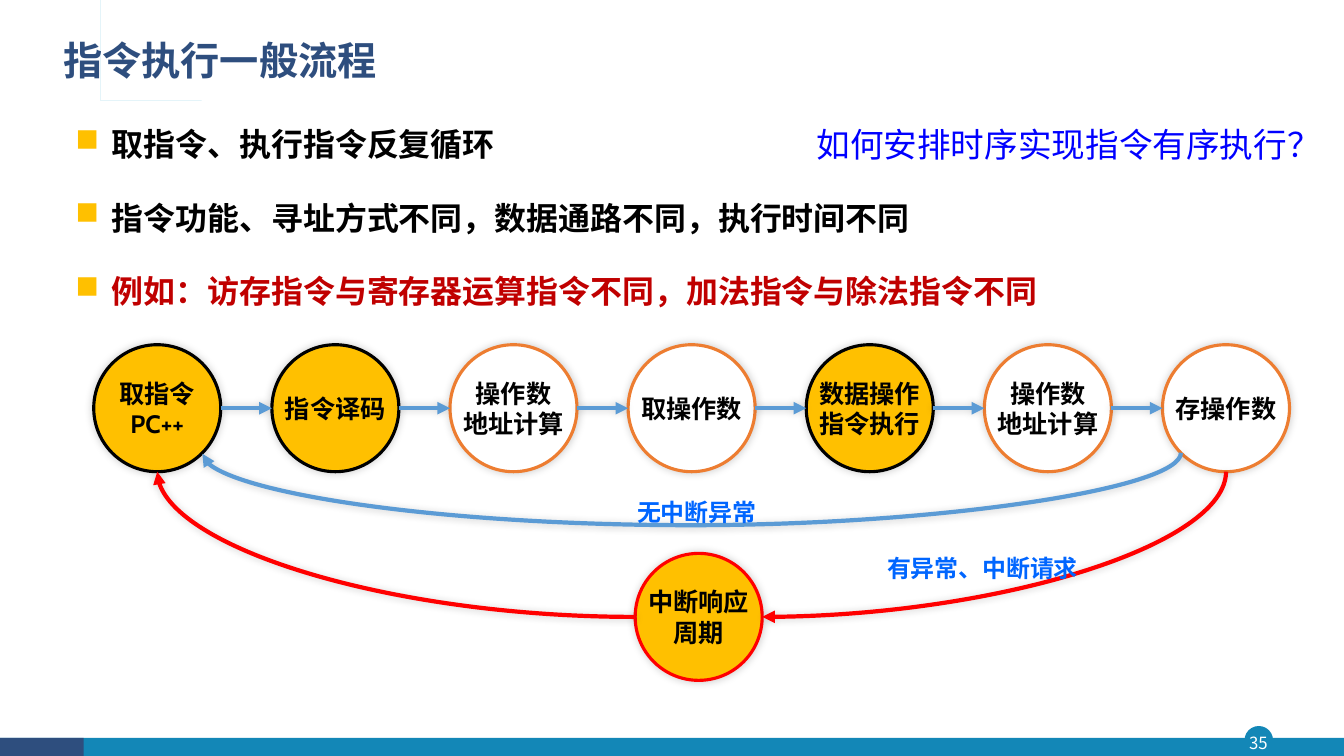
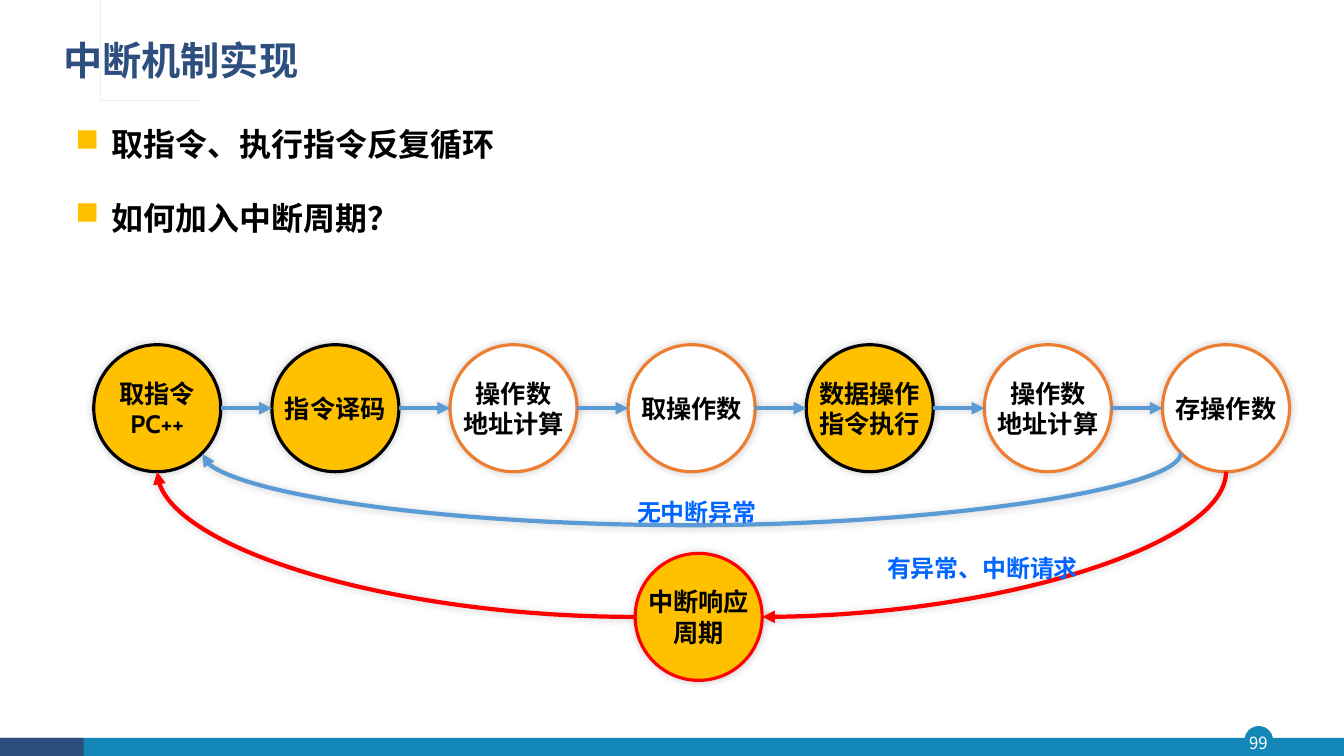
"""Build two slides on the instruction cycle and its interrupt handling."""
from dataclasses import dataclass
from lxml import etree
from pptx import Presentation
from pptx.dml.color import RGBColor
from pptx.enum.shapes import MSO_CONNECTOR, MSO_SHAPE
from pptx.enum.text import MSO_ANCHOR, MSO_AUTO_SIZE, PP_ALIGN
from pptx.oxml.ns import qn
from pptx.util import Inches, Pt

OVAL, RECTANGLE = MSO_SHAPE.OVAL, MSO_SHAPE.RECTANGLE
STRAIGHT, CURVE = MSO_CONNECTOR.STRAIGHT, MSO_CONNECTOR.CURVE
MIDDLE, TOP = MSO_ANCHOR.MIDDLE, MSO_ANCHOR.TOP
LEFT, CENTER = PP_ALIGN.LEFT, PP_ALIGN.CENTER
GROW = MSO_AUTO_SIZE.SHAPE_TO_FIT_TEXT


@dataclass(frozen=True)
class Theme:
    """Colours, fonts and type sizes."""
    navy: str = "2E4E7E"
    teal: str = "1387B7"
    cyan: str = "28A9D6"
    amber: str = "FFC000"
    orange: str = "ED7D31"
    arrow: str = "5B9BD5"
    label: str = "0066FF"
    question: str = "0000FF"
    red: str = "FF0000"
    dark_red: str = "C00000"
    black: str = "000000"
    white: str = "FFFFFF"
    sans: str = "Noto Sans CJK SC"
    latin: str = "Cabin"
    title: float = 28
    ask: float = 24
    bullet: float = 22.8
    step: float = 18
    note: float = 17.1
    number: float = 12
    spacing: float = 5.7


THEME = Theme()
WIDTH, HEIGHT = 13.33, 7.5
DIAMETER, ROW_TOP, FIRST_LEFT, LAST_LEFT = 1.26, 3.42, 0.93, 11.53
INTERRUPT_AT = (6.3, 5.49)
LOOP_DROP = 0.73
SITE = {"left": 2, "bottom left": 3, "bottom": 4, "bottom right": 5, "right": 6}
DIRECTION = {"left": (-1, 0), "bottom left": (-0.71, 0.71), "bottom": (0, 1),
             "bottom right": (0.71, 0.71), "right": (1, 0)}

SLIDES = [
    {"title": "指令执行一般流程", "number": "35",
     "bullets": [("取指令、执行指令反复循环", THEME.black),
                 ("指令功能、寻址方式不同，数据通路不同，执行时间不同", THEME.black),
                 ("例如：访存指令与寄存器运算指令不同，加法指令与除法指令不同", THEME.dark_red)],
     "question": "如何安排时序实现指令有序执行？"},
    {"title": "中断机制实现", "number": "99",
     "bullets": [("取指令、执行指令反复循环", THEME.black),
                 ("如何加入中断周期？", THEME.black)]},
]
STEPS = [
    (["取指令", "PC++"], True),
    (["指令译码"], True),
    (["操作数", "地址计算"], False),
    (["取操作数"], False),
    (["数据操作", "指令执行"], True),
    (["操作数", "地址计算"], False),
    (["存操作数"], False),
]
INTERRUPT = ["中断响应", "周期"]
LABELS = [("无中断异常", (6.22, 4.74, 1.4, 0.53)),
          ("有异常、中断请求", (8.7, 5.3, 2.12, 0.53))]
TITLE_MARK = [(0.54, 0.39), (0.54, 0.85), (1.87, 0.85), (1.87, 0.87), (0.52, 0.87),
              (0.52, 0.41), (0.47, 0.41), (0.47, 0.87), (0.36, 0.87), (0.36, 0.39),
              (0.39, 0.39), (0.39, 0.84), (0.44, 0.84), (0.44, 0.39)]


def color(value):
    return RGBColor.from_string(value)


def add_child(parent, tag, **attributes):
    child = etree.SubElement(parent, qn(tag))
    for name, value in attributes.items():
        child.set(name, str(value))
    return child


def add_glow(effects):
    shadow = add_child(effects, "a:outerShdw", blurRad=Pt(6), dist=0, dir=315 * 60000,
                       algn="ctr", rotWithShape=0)
    tone = add_child(shadow, "a:srgbClr", val=THEME.black)
    add_child(tone, "a:alpha", val=20000)


def add_run(para, text, size, ink, bold=True, font=THEME.sans):
    span = para.add_run()
    span.text = text
    span.font.size, span.font.bold = Pt(size), bold
    span.font.color.rgb = color(ink)
    span.font.name = font
    add_child(span.font._element, "a:ea", typeface=THEME.sans)


def paragraphs(frame, lines):
    for index, line in enumerate(lines):
        yield (frame.add_paragraph() if index else frame.paragraphs[0]), line


def add_box(page, area, anchor=TOP, wrap=True, grow=False, inset=None):
    frame = page.shapes.add_textbox(*map(Inches, area)).text_frame
    frame.word_wrap, frame.vertical_anchor = wrap, anchor
    if grow:
        frame.auto_size = GROW
    if inset is not None:
        frame.margin_left = frame.margin_right = Inches(inset)
        frame.margin_top = frame.margin_bottom = Inches(inset)
    return frame


def space_out(para, first):
    para.line_spacing = 1.5
    para.space_before = Pt(0 if first else THEME.spacing)
    para.space_after = Pt(THEME.spacing)


def add_solid(page, kind, area, fill, outline=None, weight=1):
    shape = page.shapes.add_shape(kind, *map(Inches, area))
    paint(shape, fill, outline, weight)
    return shape


def paint(shape, fill, outline=None, weight=1):
    shape.shadow.inherit = False
    shape.fill.solid()
    shape.fill.fore_color.rgb = color(fill)
    if outline:
        shape.line.color.rgb, shape.line.width = color(outline), Pt(weight)
    else:
        shape.line.fill.background()


def add_frame(page, title, number):
    add_solid(page, OVAL, (12.35, 7.21, 0.27, 0.27), THEME.teal, THEME.teal)
    add_solid(page, RECTANGLE, (0, 7.32, WIDTH, 0.19), THEME.teal)
    add_solid(page, RECTANGLE, (0, 7.32, 0.83, 0.19), THEME.navy)
    para = add_box(page, (12.32, 7.21, 0.32, 0.31), MIDDLE, inset=0).paragraphs[0]
    para.alignment = CENTER
    add_run(para, number, THEME.number, THEME.white, bold=False)
    builder = page.shapes.build_freeform(*TITLE_MARK[0], scale=Inches(1))
    builder.add_line_segments(TITLE_MARK[1:], close=True)
    paint(builder.convert_to_shape(), THEME.cyan)
    para = add_box(page, (0.53, 0.28, 11.5, 0.68), MIDDLE).paragraphs[0]
    para.alignment, para.line_spacing = LEFT, 0.9
    add_run(para, title, THEME.title, THEME.navy)


def add_bullets(page, bullets):
    frame = add_box(page, (0.65, 1, 11.82, 0.08 + 0.67 * len(bullets)), grow=True)
    for para, (text, ink) in paragraphs(frame, bullets):
        space_out(para, text == bullets[0][0])
        props = para._p.get_or_add_pPr()
        props.set("marL", str(Inches(0.36)))
        props.set("indent", str(-Inches(0.36)))
        add_child(add_child(props, "a:buClr"), "a:srgbClr", val=THEME.amber)
        add_child(props, "a:buChar", char="■")
        add_run(para, text, THEME.bullet, ink)


def add_step(page, left, top, lines, fill, outline):
    circle = add_solid(page, OVAL, (left, top, DIAMETER, DIAMETER), fill, outline, 2.25)
    add_glow(circle._element.spPr.find(qn("a:effectLst")))
    frame = circle.text_frame
    frame.word_wrap, frame.vertical_anchor = False, MIDDLE
    for para, line in paragraphs(frame, lines):
        para.alignment = CENTER
        add_run(para, line, THEME.step, THEME.black, font=THEME.latin)
    return circle


def site_point(circle, side):
    across, down = DIRECTION[side]
    radius = circle.width / 2
    return (circle.left + radius * (1 + across), circle.top + radius * (1 + down))


def add_arrow(page, start, start_side, end, end_side, ink, preset=None, turn=0):
    (x1, y1), (x2, y2) = site_point(start, start_side), site_point(end, end_side)
    width, height = abs(x2 - x1), max(abs(y2 - y1), Inches(0.01) if preset else 0)
    if turn == 90:
        width, height = height, width
    left, top = (x1 + x2 - width) / 2, (y1 + y2 - height) / 2
    arrow = page.shapes.add_connector(CURVE if preset else STRAIGHT, *map(
        round, (left, top, left + width, top + height)))
    arrow.line.color.rgb, arrow.line.width = color(ink), Pt(3)
    props = arrow._element.spPr
    add_child(props.find(qn("a:ln")), "a:tailEnd", type="triangle")
    add_glow(add_child(props, "a:effectLst"))
    links = arrow._element.find(".//" + qn("p:cNvCxnSpPr"))
    add_child(links, "a:stCxn", id=start.shape_id, idx=SITE[start_side])
    add_child(links, "a:endCxn", id=end.shape_id, idx=SITE[end_side])
    if preset:
        props.find(qn("a:xfrm")).set("rot", str(turn * 60000))
        geometry = props.find(qn("a:prstGeom"))
        geometry.set("prst", preset)
        if preset == "curvedConnector3":
            bend = round(Inches(LOOP_DROP) / width * 100000)
            add_child(geometry.find(qn("a:avLst")), "a:gd", name="adj1", fmla=f"val {bend}")


def add_cycle(page):
    pitch = (LAST_LEFT - FIRST_LEFT) / (len(STEPS) - 1)
    circles = []
    for index, (lines, key_step) in enumerate(STEPS):
        fill, outline = (THEME.amber, THEME.black) if key_step else (THEME.white, THEME.orange)
        circles.append(add_step(page, FIRST_LEFT + index * pitch, ROW_TOP, lines, fill, outline))
    for start, end in zip(circles, circles[1:]):
        add_arrow(page, start, "right", end, "left", THEME.arrow)
    first, last = circles[0], circles[-1]
    interrupt = add_step(page, *INTERRUPT_AT, INTERRUPT, THEME.amber, THEME.red)
    add_arrow(page, last, "bottom left", first, "bottom right", THEME.arrow,
              "curvedConnector3", 90)
    add_arrow(page, last, "bottom", interrupt, "right", THEME.red, "curvedConnector2", 90)
    add_arrow(page, interrupt, "left", first, "bottom", THEME.red, "curvedConnector2", 180)
    for text, area in LABELS:
        para = add_box(page, area, wrap=False, grow=True).paragraphs[0]
        space_out(para, True)
        add_run(para, text, THEME.note, THEME.label, font=THEME.latin)


def main():
    deck = Presentation()
    deck.slide_width, deck.slide_height = Inches(WIDTH), Inches(HEIGHT)
    for content in SLIDES:
        page = deck.slides.add_slide(deck.slide_layouts[6])
        add_frame(page, content["title"], content["number"])
        add_bullets(page, content["bullets"])
        add_cycle(page)
        if "question" in content:
            frame = add_box(page, (8, 1.18, 5.25, 0.5), wrap=False, grow=True)
            add_run(frame.paragraphs[0], content["question"], THEME.ask, THEME.question, bold=False)
    deck.save("out.pptx")


if __name__ == "__main__":
    main()
